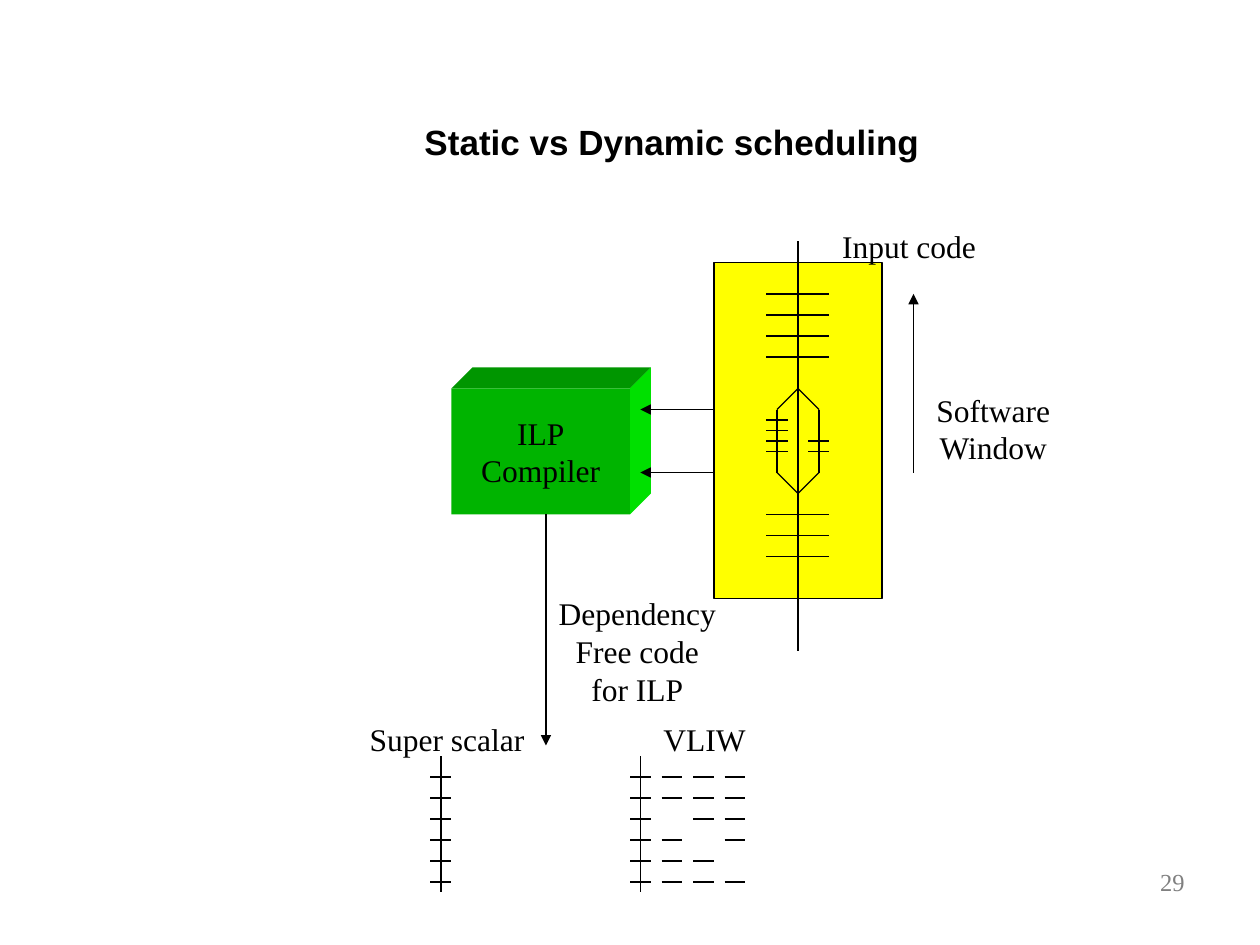
from itertools import pairwise

from lxml.etree import SubElement
from pptx import Presentation
from pptx.dml.color import RGBColor
from pptx.enum.shapes import MSO_CONNECTOR, MSO_SHAPE
from pptx.enum.text import MSO_ANCHOR, PP_ALIGN
from pptx.oxml.ns import qn
from pptx.util import Pt

COLORS = {
    "ink": "000000",
    "number": "808080",
    "window": "FFFF00",
    "front": "00B400",
    "top": "009600",
    "side": "00E000",
}
STEP = 12
VLIW_SLOTS = ("1111", "1111", "1011", "1101", "1110", "1111")


def rgb(name):
    return RGBColor.from_string(COLORS[name])


def points(*lengths):
    return [Pt(length) for length in lengths]


def write(holder, text, size=18, font="Times New Roman", color="ink", bold=False,
          align=PP_ALIGN.CENTER, anchor=MSO_ANCHOR.MIDDLE, wrap=False):
    frame = holder.text_frame
    frame.text = text
    frame.word_wrap = wrap
    frame.vertical_anchor = anchor
    for paragraph in frame.paragraphs:
        paragraph.alignment = align
        for key, value in {"size": Pt(size), "name": font, "bold": bold}.items():
            setattr(paragraph.font, key, value)
        paragraph.font.color.rgb = rgb(color)


def label(slide, box, text, **style):
    write(slide.shapes.add_textbox(*points(*box)), text, **style)


def line(slide, start, end, arrow=False):
    connector = slide.shapes.add_connector(
        MSO_CONNECTOR.STRAIGHT, *points(*start, *end))
    connector.line.color.rgb = rgb("ink")
    connector.line.width = Pt(0.75)
    if arrow:
        SubElement(connector.line._get_or_add_ln(), qn("a:tailEnd"), type="triangle")
    SubElement(connector._element.spPr, qn("a:effectLst"))


def ticks(slide, left, width, heights):
    for y in heights:
        line(slide, (left, y), (left + width, y))


def paint(shape, color):
    shape.shadow.inherit = False
    shape.fill.solid()
    shape.fill.fore_color.rgb = rgb(color)
    shape.line.fill.background()


def title(slide, box, text):
    heading = slide.shapes.title
    for key, value in zip(("left", "top", "width", "height"), points(*box)):
        setattr(heading, key, value)
    write(heading, text, size=20, font="Arial", bold=True, wrap=True)


def compiler(slide, box):
    left, top, width, height = box
    right, bottom, depth = left + width, top + height, STEP
    faces = {
        "top": [(left, top), (left + depth, top - depth),
                (right + depth, top - depth), (right, top)],
        "side": [(right, top), (right + depth, top - depth),
                 (right + depth, bottom - depth), (right, bottom)],
    }
    for color, corners in faces.items():
        builder = slide.shapes.build_freeform(*points(*corners[0]))
        builder.add_line_segments([points(*corner) for corner in corners[1:]])
        paint(builder.convert_to_shape(), color)
    front = slide.shapes.add_shape(MSO_SHAPE.RECTANGLE, *points(*box))
    paint(front, "front")
    write(front, "ILP\nCompiler")


def code_window(slide, box):
    left, top, width, height = box
    center = left + width / 2
    window = slide.shapes.add_shape(MSO_SHAPE.RECTANGLE, *points(*box))
    paint(window, "window")
    window.line.color.rgb = rgb("ink")
    window.line.width = Pt(0.75)

    line(slide, (center, top - 12), (center, top + height + 30))
    for first, count in ((18, 4), (144, 3)):
        ticks(slide, center - 18, 36, [top + first + STEP * i for i in range(count)])
    for side in (-1, 1):
        branch = [(center, top + 72), (center + side * 12, top + 84),
                  (center + side * 12, top + 120), (center, top + 132)]
        for start, end in pairwise(branch):
            line(slide, start, end)
    ticks(slide, center - 18, 12, range(top + 90, top + 109, 6))
    ticks(slide, center + 6, 12, range(top + 102, top + 109, 6))

    for y in (top + 84, top + 120):
        line(slide, (left, y), (left - 42, y), arrow=True)
    range_x = left + width + 18
    line(slide, (range_x, top + 120), (range_x, top + 18), arrow=True)
    label(slide, (range_x + 4.6, top + 69.6, 82, 50.4), "Software\nWindow")
    label(slide, (center + 18, top - 24, 91, 28.8), "Input code")


def instruction_stream(slide, box, slots):
    left, top, width, height = box
    line(slide, (left + 6, top), (left + 6, top + height))
    for row, used in enumerate(slots, start=1):
        for column, flag in enumerate(used):
            if flag == "1":
                ticks(slide, left + column * 18, 12, [top + STEP * row])


def main():
    deck = Presentation()
    deck.slide_width, deck.slide_height = points(720, 540)
    slide = deck.slides.add_slide(deck.slide_layouts[5])

    title(slide, (78, 36, 612, 90), "Static vs Dynamic scheduling")
    label(slide, (516, 492, 168, 37.5), "29", size=14, color="number",
          align=PP_ALIGN.RIGHT, anchor=MSO_ANCHOR.TOP, wrap=True)
    compiler(slide, (258, 222, 102, 72))
    code_window(slide, (408, 150, 96, 192))
    line(slide, (312, 294), (312, 426), arrow=True)
    label(slide, (312, 336, 104.4, 72), "Dependency\nFree code\nfor ILP")
    instruction_stream(slide, (246, 432, 12, 78), ["1"] * 6)
    instruction_stream(slide, (360, 432, 66, 78), VLIW_SLOTS)
    label(slide, (204, 408, 103, 28.8), "Super scalar")
    label(slide, (372, 408, 61.2, 28.8), "VLIW")

    deck.save("out.pptx")


if __name__ == "__main__":
    main()
